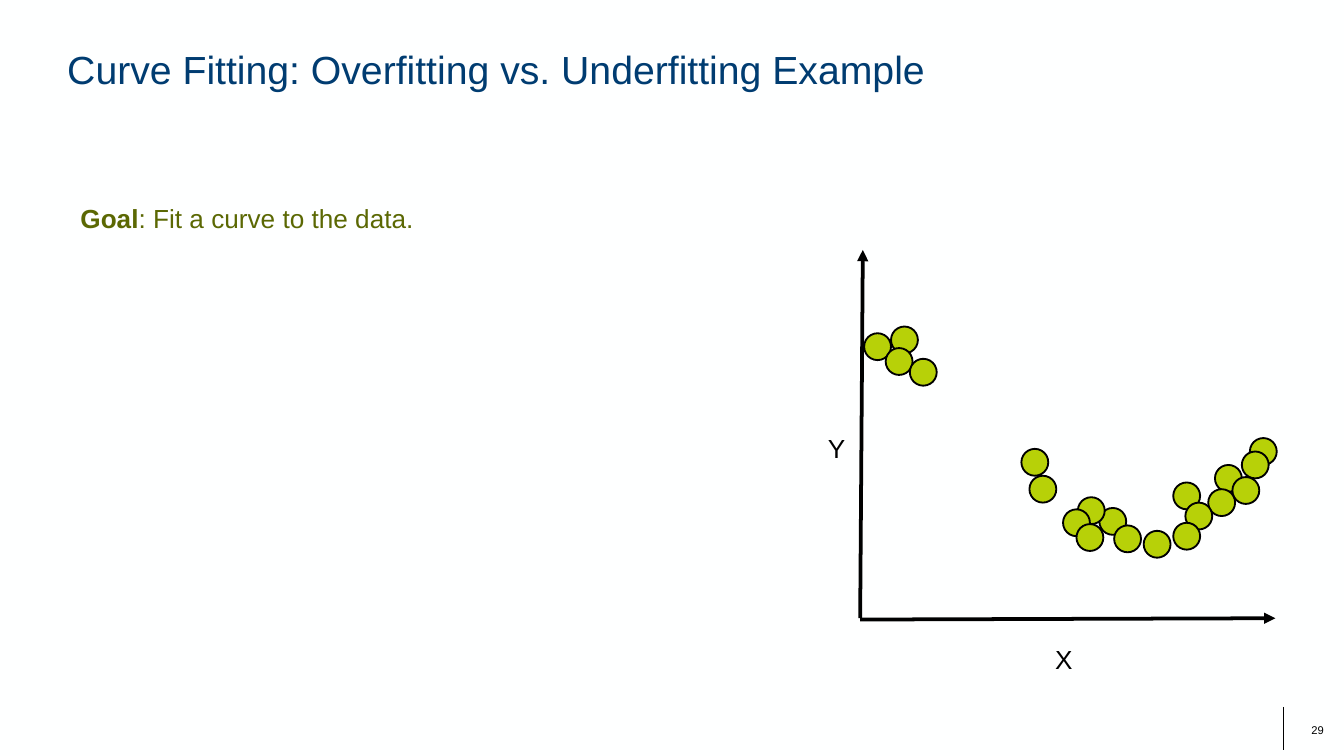
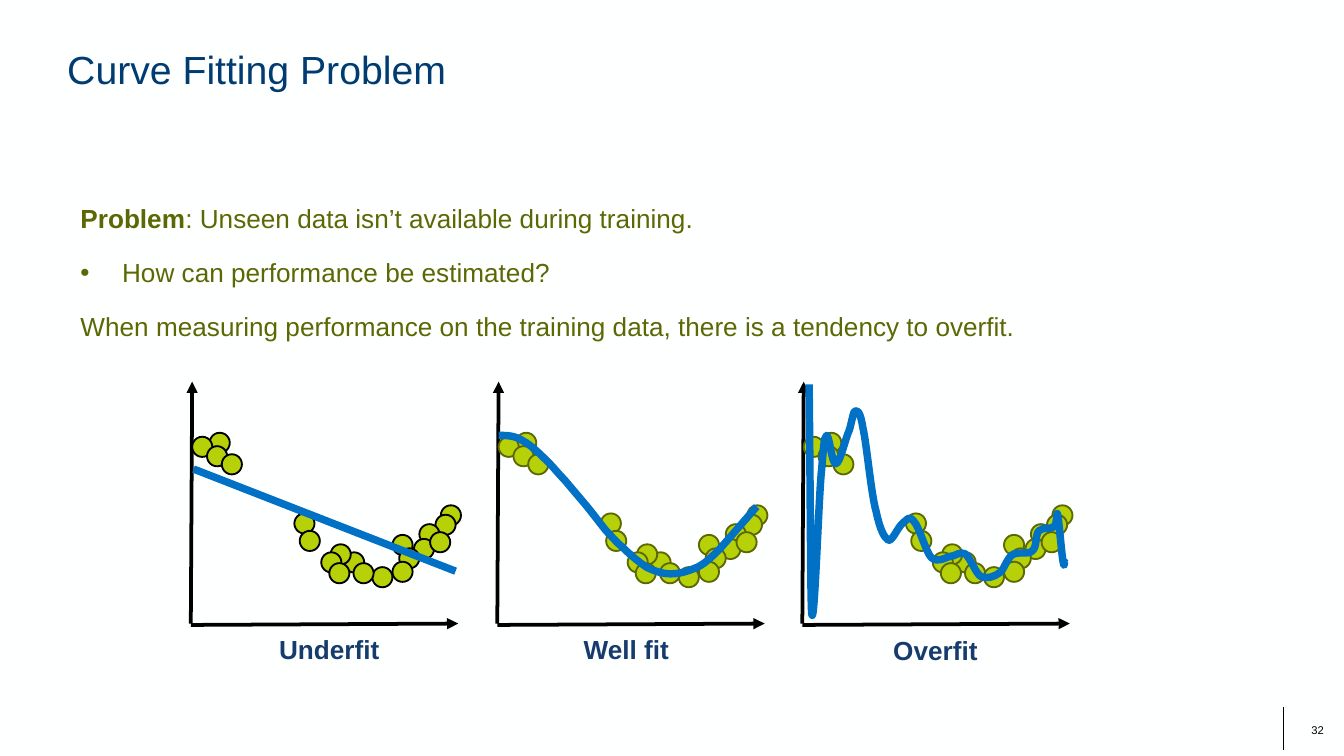
from lxml.etree import SubElement
from pptx import Presentation
from pptx.dml.color import RGBColor
from pptx.enum.shapes import MSO_CONNECTOR, MSO_SHAPE
from pptx.enum.text import MSO_ANCHOR, MSO_AUTO_SIZE, PP_ALIGN
from pptx.oxml.ns import qn
from pptx.util import Pt

PX = 9144  # EMU per px, 100 px to the inch
FONT = "Arial"
COLORS = {
    "page": "FEFFFF", "title": "003C71", "olive": "5B6803", "lime": "B7D108",
    "black": "000000", "curve": "0071C5", "caption": "163B6D",
}

GOAL = [[("Goal", True), (": Fit a curve to the data.", False)]]
PROBLEM = [
    [("Problem", True), (": Unseen data isn’t available during training.", False)],
    [("How can performance be estimated?", False)],
    [("When measuring performance on the training data, "
      "there is a tendency to overfit.", False)],
]

# Full-size plot: axis lengths, and each dot's corner from the origin (y upwards)
AXIS_W, AXIS_H = 309, 274
DOTS = [
    (23, 217), (3, 212), (19, 201), (37, 193), (120, 126), (290, 134), (284, 124),
    (264, 114), (259, 96), (233, 101), (242, 86), (233, 71), (211, 65), (178, 82),
    (189, 69), (126, 106), (162, 90), (151, 81), (161, 70), (277, 105),
]

# Curves: a start point, then three points for each Bezier segment
WELL_FIT = [
    (371, 324),
    (377, 324), (383, 324), (389, 328), (395, 331), (403, 339), (408, 344),
    (413, 349), (415, 352), (420, 357), (425, 363), (431, 370), (436, 376),
    (441, 382), (447, 390), (451, 395), (456, 400), (458, 403), (463, 407),
    (468, 412), (475, 418), (481, 422), (487, 425), (493, 427), (499, 427),
    (506, 427), (512, 425), (519, 422), (525, 419), (529, 415), (536, 408),
    (543, 400), (563, 377), (563, 377),
]
OVERFIT = [
    (602, 286),
    (603, 366), (603, 446), (604, 457), (606, 468), (609, 375), (611, 353),
    (613, 331), (613, 326), (615, 324), (617, 323), (619, 346), (622, 345),
    (625, 345), (629, 326), (632, 320), (634, 313), (635, 306), (636, 306),
    (638, 305), (640, 306), (642, 318), (645, 331), (648, 367), (652, 381),
    (655, 395), (658, 400), (661, 402), (664, 403), (668, 392), (672, 389),
    (675, 387), (676, 383), (680, 388), (684, 392), (689, 411), (693, 415),
    (698, 419), (703, 415), (707, 414), (711, 414), (714, 410), (718, 412),
    (722, 415), (726, 427), (730, 429), (735, 431), (740, 429), (744, 426),
    (747, 424), (749, 416), (753, 413), (757, 410), (765, 413), (768, 410),
    (772, 407), (770, 398), (773, 395), (776, 392), (782, 394), (784, 392),
    (787, 390), (786, 379), (787, 383), (788, 388), (790, 413), (791, 418),
    (792, 424), (792, 418), (792, 418), (792, 419), (793, 419), (793, 419),
]
UNDERFIT = [(144, 349), (339, 425)]

# caption, caption box, plot left, dot outline, fit
PANELS = [
    ("Underfit", (170, 471, 150, 33), 142, "black", UNDERFIT),
    ("Well fit", (406, 471, 120, 33), 370, "olive", WELL_FIT),
    ("Overfit", (630, 472, 132, 33), 597, "olive", OVERFIT),
]


def rgb(name):
    return RGBColor.from_string(COLORS[name])


def px(*values):
    return [v * PX for v in values]


def write(sp, paras, size=14, color="black", align=PP_ALIGN.LEFT,
          anchor=MSO_ANCHOR.TOP, inset=(0, 0), before=0, spacing=None, bullets=()):
    """Fill a shape with paragraphs, each a list of (text, bold) runs."""
    tf = sp.text_frame
    tf.word_wrap, tf.auto_size, tf.vertical_anchor = True, MSO_AUTO_SIZE.NONE, anchor
    tf.margin_left = tf.margin_right = inset[0] * PX
    tf.margin_top = tf.margin_bottom = inset[1] * PX
    for i, runs in enumerate(paras):
        p = tf.add_paragraph() if i else tf.paragraphs[0]
        if i in bullets:
            add_bullet(p, color)
        p.alignment = align
        if i:
            p.space_before = Pt(before)
        if spacing:
            p.line_spacing = spacing
        for text, bold in runs:
            r = p.add_run()
            r.text = text
            r.font.name, r.font.size, r.font.bold = FONT, Pt(size), bold
            r.font.color.rgb = rgb(color)


def add_bullet(p, color):
    pPr = p._p.get_or_add_pPr()
    pPr.set("marL", str(31 * PX))
    pPr.set("indent", str(-31 * PX))
    SubElement(SubElement(pPr, qn("a:buClr")), qn("a:srgbClr"), val=COLORS[color])
    SubElement(pPr, qn("a:buFont"), typeface=FONT)
    SubElement(pPr, qn("a:buChar"), char="•")


def add_text(shapes, box, paras, **fmt):
    write(shapes.add_textbox(*px(*box)), paras, **fmt)


def add_line(shapes, start, end, color="black", width=2, arrow=False):
    line = shapes.add_connector(MSO_CONNECTOR.STRAIGHT, *px(*start, *end))
    line.line.color.rgb, line.line.width = rgb(color), Pt(width)
    if arrow:
        SubElement(line.line._get_or_add_ln(), qn("a:tailEnd"), type="triangle")
    SubElement(line._element.spPr, qn("a:effectLst"))


def add_curve(shapes, points):
    """Draw a smooth open curve, turning each three points into a Bezier segment."""
    builder = shapes.build_freeform(*points[0], scale=PX)
    builder.add_line_segments(points[1:], close=False)
    sp = builder.convert_to_shape()
    sp.shadow.inherit = False
    sp.fill.background()
    sp.line.color.rgb, sp.line.width = rgb("curve"), Pt(4)
    outline = next(sp._element.iter(qn("a:path")))
    steps = outline.findall(qn("a:lnTo"))
    for i in range(0, len(steps), 3):
        bezier = SubElement(outline, qn("a:cubicBezTo"))
        for step in steps[i:i + 3]:
            bezier.append(step[0])
            outline.remove(step)


def add_scatter(slide, left, base, width, height, dot, outline):
    """Draw arrowed axes and the dots, scaled to the axis lengths; return the shapes."""
    shapes = slide.shapes.add_group_shape().shapes
    sx, sy = width / AXIS_W, height / AXIS_H
    add_line(shapes, (left, base), (left + int(2 * sx), base - height), arrow=True)
    add_line(shapes, (left, base + 1), (left + width, base), arrow=True)
    for x, y in DOTS:
        sp = shapes.add_shape(MSO_SHAPE.OVAL, *px(left + int(x * sx),
                                                  base - int(y * sy), dot, dot))
        sp.shadow.inherit = False
        sp.fill.solid()
        sp.fill.fore_color.rgb = rgb("lime")
        sp.line.color.rgb, sp.line.width = rgb(outline), Pt(1)
    return shapes


def new_slide(prs, title, number):
    slide = prs.slides.add_slide(prs.slide_layouts[5])
    sp = slide.shapes.title
    sp.left, sp.top, sp.width, sp.height = px(50, 34, 900, 95)
    write(sp, [[(title, False)]], size=21, color="title")
    add_line(slide.shapes, (955, 526), (955, 558), width=0.75)
    add_text(slide.shapes, (971, 536, 14, 14), [[(number, False)]], size=6,
             align=PP_ALIGN.RIGHT, anchor=MSO_ANCHOR.MIDDLE)
    return slide


def build_example(prs):
    slide = new_slide(prs, "Curve Fitting: Overfitting vs. Underfitting Example", "29")
    plot = add_scatter(slide, 640, 460, AXIS_W, AXIS_H, 20, "black")
    for name, x, y in [("X", 774, 460), ("Y", 605, 303)]:
        add_text(plot, (x, y, 35, 37), [[(name, False)]], align=PP_ALIGN.CENTER,
                 anchor=MSO_ANCHOR.MIDDLE, spacing=2.04)
    add_text(slide.shapes, (50, 146, 311, 40), GOAL, color="olive", inset=(10, 5))


def build_problem(prs):
    slide = new_slide(prs, "Curve Fitting Problem", "32")
    add_text(slide.shapes, (50, 146, 835, 229), PROBLEM, color="olive",
             inset=(10, 5), before=12, bullets=(1,))
    for caption, box, left, outline, fit in PANELS:
        plot = add_scatter(slide, left, 464, 199, 180, 15, outline)
        if len(fit) == 2:
            add_line(plot, *fit, color="curve", width=4)
        else:
            add_curve(plot, fit)
        add_text(slide.shapes, box, [[(caption, True)]], color="caption",
                 align=PP_ALIGN.CENTER)


def main():
    prs = Presentation()
    prs.slide_width = 1000 * PX
    prs.slide_height = prs.slide_width * 9 // 16
    fill = prs.slide_master.background.fill
    fill.solid()
    fill.fore_color.rgb = rgb("page")
    build_example(prs)
    build_problem(prs)
    prs.save("out.pptx")


if __name__ == "__main__":
    main()
